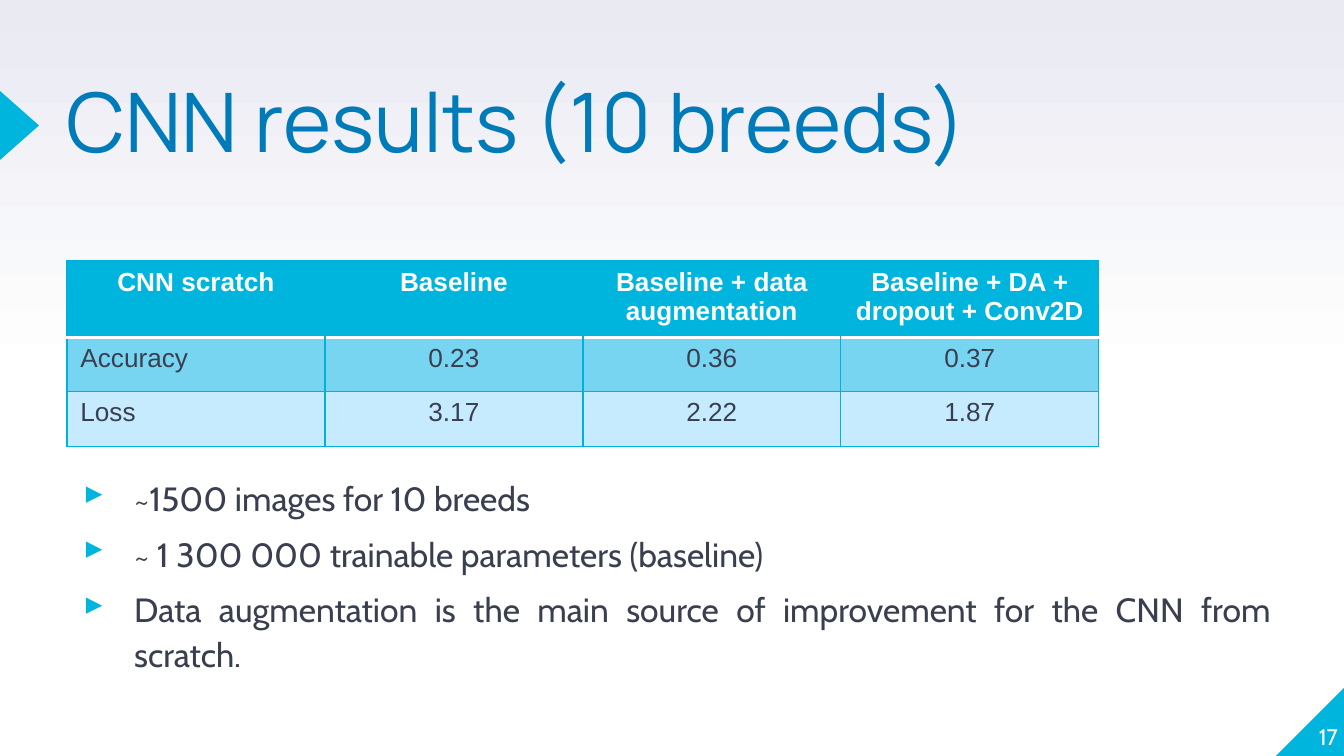
from copy import deepcopy
from dataclasses import dataclass

from lxml import etree
from pptx import Presentation
from pptx import util as u
from pptx.dml.color import RGBColor
from pptx.enum import shapes, text
from pptx.oxml import ns

TITLE = "CNN results (10 breeds)"
PAGE = "17"
RESULTS = [
    ["CNN scratch", "Baseline", "Baseline + data augmentation",
     "Baseline + DA + dropout + Conv2D"],
    ["Accuracy", "0.23", "0.36", "0.37"],
    ["Loss", "3.17", "2.22", "1.87"],
]
REMARKS = [
    "~1500 images for 10 breeds",
    "~ 1 300 000 trainable parameters (baseline)",
    "Data augmentation is the main source of improvement for the CNN from scratch.",
]
ROW_HEIGHTS = [72, 54, 55]
COL_WIDTH = 258
BACKGROUND = [(0, "FFFFFF"), (0.5, "FFFFFF"), (1, "E9EAF2")]


@dataclass(frozen=True)
class Theme:
    accent: str = "00B5DD"
    heading: str = "007BB9"
    body: str = "3A3F50"
    white: str = "FFFFFF"
    grid: str = "00B1D8"
    bands: tuple = ("00B5DD", "77D5F1", "C6EBFF")
    title_font: str = "Manrope"
    body_font: str = "Cabin"
    table_font: str = "Arial"
    title_size: int = 44
    body_size: int = 18
    table_size: int = 14
    page_size: int = 12


T = Theme()
ALIGN = text.PP_ALIGN


def px(n):
    return u.Emu(round(n * 914400 / 134.4))


def rgb(value):
    return RGBColor.from_string(value)


def add_run(p, words, font, size, color, bold=False):
    r = p.add_run()
    r.text = words
    r.font.name, r.font.size, r.font.bold = font, u.Pt(size), bold
    r.font.color.rgb = rgb(color)


def add_frame(s, x, y, w, h, anchor=text.MSO_ANCHOR.TOP):
    """Add a wrapping text box without insets and return its text frame."""
    tf = s.shapes.add_textbox(px(x), px(y), px(w), px(h)).text_frame
    tf.word_wrap = True
    tf.vertical_anchor = anchor
    tf.margin_left = tf.margin_right = tf.margin_top = tf.margin_bottom = 0
    return tf


def add_triangle(s, kind, x, y, w, h, rotation):
    sp = s.shapes.add_shape(kind, px(x), px(y), px(w), px(h))
    sp.shadow.inherit = False
    sp.fill.solid()
    sp.fill.fore_color.rgb = rgb(T.accent)
    sp.line.fill.background()
    sp.rotation = rotation


def add_bullet(p):
    pPr = p._p.get_or_add_pPr()
    pPr.set("marL", str(u.Inches(0.5)))
    pPr.set("indent", str(-u.Inches(0.38)))
    color = etree.SubElement(pPr, ns.qn("a:buClr"))
    etree.SubElement(color, ns.qn("a:srgbClr"), val=T.accent)
    etree.SubElement(pPr, ns.qn("a:buChar"), char="▸")


def set_border(cell, side, color, points):
    """Draw one side (L, R, T or B) of a cell; no color means no line."""
    ln = etree.SubElement(cell._tc.get_or_add_tcPr(), ns.qn(f"a:ln{side}"),
                          w=str(u.Pt(points)))
    if color:
        fill = etree.SubElement(ln, ns.qn("a:solidFill"))
        etree.SubElement(fill, ns.qn("a:srgbClr"), val=color)
    else:
        etree.SubElement(ln, ns.qn("a:noFill"))


def paint_background(s):
    fill = s.background.fill
    fill.gradient()
    fill.gradient_angle = 90
    stops = next(s._element.iter(ns.qn("a:gsLst")))
    stops.append(deepcopy(stops[0]))
    for stop, (position, color) in zip(fill.gradient_stops, BACKGROUND):
        stop.position = position
        stop.color.rgb = rgb(color)


def add_results(s, x, y):
    rows, cols = len(RESULTS), len(RESULTS[0])
    table = s.shapes.add_table(rows, cols, px(x), px(y), px(COL_WIDTH * cols),
                               px(sum(ROW_HEIGHTS))).table
    for column in table.columns:
        column.width = px(COL_WIDTH)
    for i, (values, height) in enumerate(zip(RESULTS, ROW_HEIGHTS)):
        table.rows[i].height = px(height)
        header = i == 0
        for j, value in enumerate(values):
            cell = table.cell(i, j)
            outer = {"L": j == 0, "R": j == cols - 1}
            for side in "LR":
                color = T.grid if not header or outer[side] else None
                set_border(cell, side, color, 0.75)
            for side, divider in (("T", i == 1), ("B", header)):
                set_border(cell, side, T.white if divider else T.grid,
                           2 if divider else 0.75)
            cell.fill.solid()
            cell.fill.fore_color.rgb = rgb(T.bands[i])
            p = cell.text_frame.paragraphs[0]
            p.alignment = ALIGN.CENTER if header or j else ALIGN.LEFT
            add_run(p, value, T.table_font, T.table_size,
                    T.white if header else T.body, header)


def add_remarks(s, x, y, w, h):
    tf = add_frame(s, x, y, w, h)
    for i, remark in enumerate(REMARKS):
        p = tf.add_paragraph() if i else tf.paragraphs[0]
        add_bullet(p)
        p.alignment = ALIGN.JUSTIFY
        p.line_spacing = 1.1
        p.space_before = u.Pt(6 if i else 0)
        add_run(p, remark, T.body_font, T.body_size, T.body)


def main():
    prs = Presentation()
    prs.slide_width, prs.slide_height = px(1344), px(756)
    s = prs.slides.add_slide(prs.slide_layouts[6])
    paint_background(s)

    add_triangle(s, shapes.MSO_SHAPE.RIGHT_TRIANGLE, 1276, 687, 69, 69, 270)
    add_triangle(s, shapes.MSO_SHAPE.ISOSCELES_TRIANGLE, -15, 106, 69, 39, 90)

    p = add_frame(s, 67, 89, 1325 - 67, 74).paragraphs[0]
    p.line_spacing = 0.8
    add_run(p, TITLE, T.title_font, T.title_size, T.heading)

    p = add_frame(s, 1271, 681, 67, 69, text.MSO_ANCHOR.BOTTOM).paragraphs[0]
    p.alignment = ALIGN.RIGHT
    add_run(p, PAGE, T.body_font, T.page_size, T.white)

    add_remarks(s, 67, 474, 1204, 250)
    add_results(s, 67, 261)
    prs.save("out.pptx")


if __name__ == "__main__":
    main()
